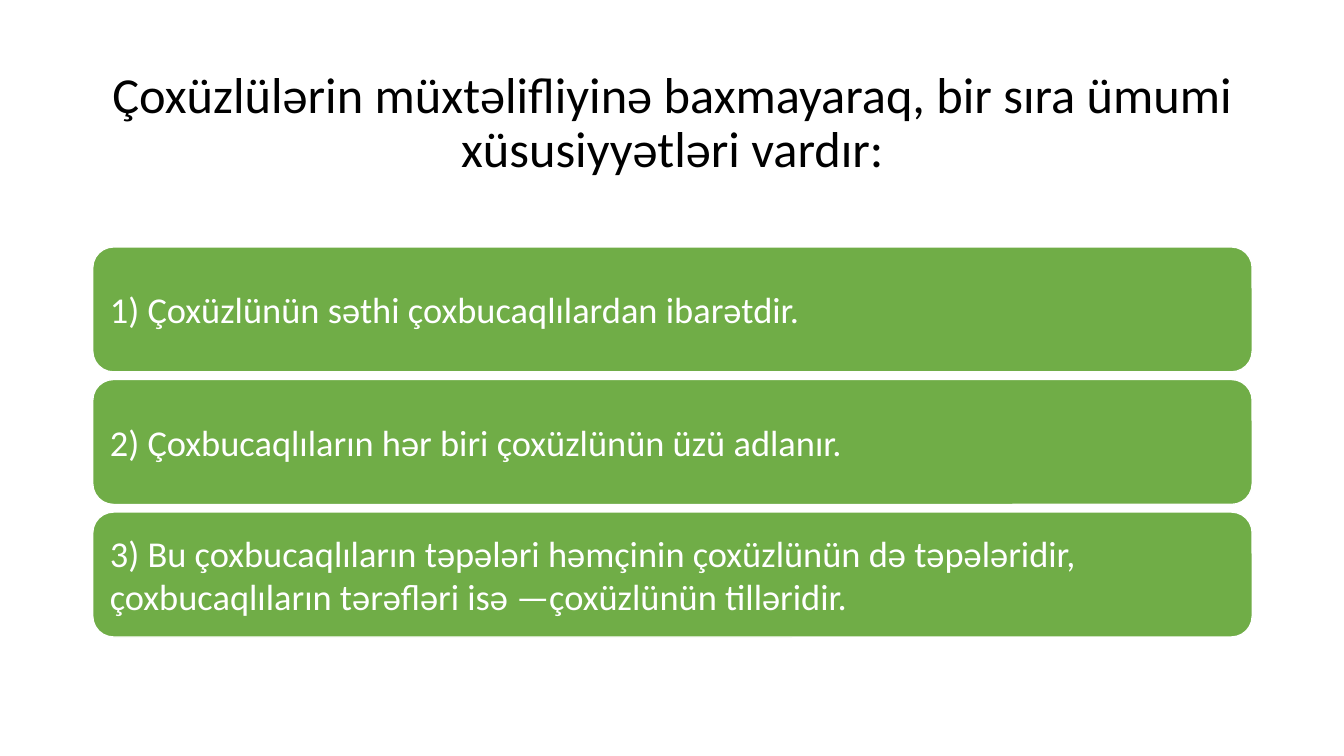
from pptx import Presentation
from pptx.dml.color import RGBColor
from pptx.enum.shapes import MSO_SHAPE
from pptx.enum.text import MSO_ANCHOR, PP_ALIGN
from pptx.util import Inches, Pt

TITLE = "Çoxüzlülərin müxtəlifliyinə baxmayaraq, bir sıra ümumi xüsusiyyətləri vardır:"
PROPERTIES = [
    "1) Çoxüzlünün səthi çoxbucaqlılardan ibarətdir.",
    "2) Çoxbucaqlıların hər biri çoxüzlünün üzü adlanır.",
    "3) Bu çoxbucaqlıların təpələri həmçinin çoxüzlünün də təpələridir, "
    "çoxbucaqlıların tərəfləri isə —çoxüzlünün tilləridir.",
]

BLACK = RGBColor(0x00, 0x00, 0x00)
WHITE = RGBColor(0xFF, 0xFF, 0xFF)
GREEN = RGBColor(0x70, 0xAD, 0x47)

LEFT, WIDTH = 0.92, 11.5
TITLE_TOP = 0.61
CARDS_TOP, CARD_PITCH = 2.45, 1.315
HEIGHT = 1.24


def write(shape, text, *, size, color, align, inset_x, inset_y, spacing=1.0):
    tf = shape.text_frame
    tf.word_wrap = True
    tf.vertical_anchor = MSO_ANCHOR.MIDDLE
    tf.margin_left = tf.margin_right = Inches(inset_x)
    tf.margin_top = tf.margin_bottom = Inches(inset_y)
    p = tf.paragraphs[0]
    p.alignment = align
    p.line_spacing = spacing
    r = p.add_run()
    r.text = text
    r.font.name = "Calibri"
    r.font.size = Pt(size)
    r.font.color.rgb = color


def add_card(s, top, text):
    card = s.shapes.add_shape(MSO_SHAPE.ROUNDED_RECTANGLE, Inches(LEFT), Inches(top),
                              Inches(WIDTH), Inches(HEIGHT))
    card.shadow.inherit = False
    card.fill.solid()
    card.fill.fore_color.rgb = GREEN
    card.line.color.rgb = WHITE
    card.line.width = Pt(1)
    write(card, text, size=26, color=WHITE, align=PP_ALIGN.LEFT,
          inset_x=0.11, inset_y=0.11)


def main():
    prs = Presentation()
    prs.slide_width, prs.slide_height = Inches(13.33), Inches(7.5)
    s = prs.slides.add_slide(prs.slide_layouts[6])

    title = s.shapes.add_textbox(Inches(LEFT), Inches(TITLE_TOP), Inches(WIDTH), Inches(HEIGHT))
    write(title, TITLE, size=36, color=BLACK, align=PP_ALIGN.CENTER,
          inset_x=0.1, inset_y=0.05, spacing=0.9)

    for i, text in enumerate(PROPERTIES):
        add_card(s, CARDS_TOP + i * CARD_PITCH, text)

    prs.save("out.pptx")


if __name__ == "__main__":
    main()
